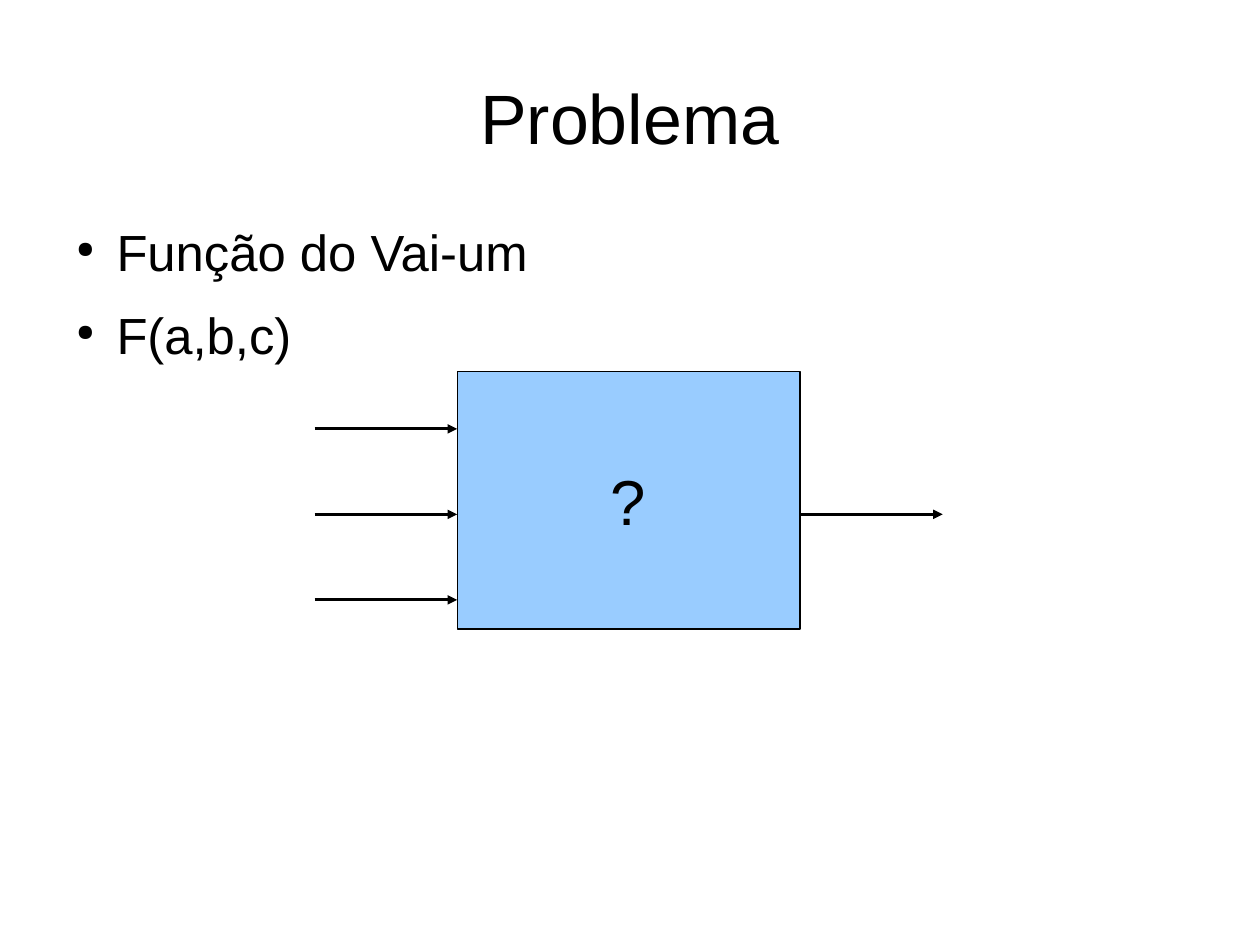
"""Build the slide presenting the carry function as an unknown block."""
from typing import NamedTuple

from lxml import etree
from pptx import Presentation
from pptx import util as u
from pptx.dml.color import RGBColor
from pptx.enum import shapes, text
from pptx.oxml.ns import qn

COLORS = {"ink": "000000", "block": "99CCFF"}
FONT = "Arial"


class Box(NamedTuple):
    left: float
    top: float
    width: float
    height: float


class Arrow(NamedTuple):
    left: float
    y: float


TITLE = Box(1.4, 0.84, 25.2, 3.5)
BODY = Box(1.4, 4.9, 25.2, 13.6)
BLOCK = Box(10.16, 8.26, 7.62, 5.72)
ARROW_LENGTH = 3.17
MIDDLE_Y = 11.43
ARROW_GAP = 1.9
BULLETS = ["Função do Vai-um", "F(a,b,c)"]

INPUTS = [Arrow(BLOCK.left - ARROW_LENGTH, MIDDLE_Y + i * ARROW_GAP) for i in (-1, 0, 1)]
OUTPUT = Arrow(BLOCK.left + BLOCK.width, MIDDLE_Y)


def color(name: str) -> RGBColor:
    return RGBColor.from_string(COLORS[name])


def add_run(p, words: str, size: int) -> None:
    r = p.add_run()
    r.text = words
    r.font.name = FONT
    r.font.size = u.Pt(size)
    r.font.color.rgb = color("ink")


def add_text_box(s, box: Box, anchor: text.MSO_ANCHOR):
    tf = s.shapes.add_textbox(*map(u.Cm, box)).text_frame
    tf.word_wrap = True
    tf.vertical_anchor = anchor
    tf.margin_left = tf.margin_right = tf.margin_top = tf.margin_bottom = 0
    return tf


def add_bullet(p) -> None:
    pPr = p._p.get_or_add_pPr()
    pPr.set("marL", str(u.Cm(1.19)))
    pPr.set("indent", str(u.Cm(-0.89)))
    buClr = etree.SubElement(pPr, qn("a:buClr"))
    etree.SubElement(buClr, qn("a:srgbClr"), val=COLORS["ink"])
    etree.SubElement(pPr, qn("a:buSzPct"), val="45000")
    etree.SubElement(pPr, qn("a:buChar"), char="●")
    p.space_after = u.Pt(14.2)


def style_line(line) -> None:
    line.color.rgb = color("ink")
    line.width = u.Pt(0)


def add_block(s) -> None:
    sp = s.shapes.add_shape(shapes.MSO_SHAPE.RECTANGLE, *map(u.Cm, BLOCK))
    sp.shadow.inherit = False
    sp.fill.solid()
    sp.fill.fore_color.rgb = color("block")
    style_line(sp.line)
    tf = sp.text_frame
    tf.vertical_anchor = text.MSO_ANCHOR.MIDDLE
    p = tf.paragraphs[0]
    p.alignment = text.PP_ALIGN.CENTER
    add_run(p, "?", 40)


def add_arrow(s, arrow: Arrow) -> None:
    ends = (arrow.left, arrow.y, arrow.left + ARROW_LENGTH, arrow.y)
    cx = s.shapes.add_connector(shapes.MSO_CONNECTOR.STRAIGHT, *map(u.Cm, ends))
    style_line(cx.line)
    etree.SubElement(cx.line._get_or_add_ln(), qn("a:tailEnd"), type="triangle")
    etree.SubElement(cx._element.spPr, qn("a:effectLst"))


def main() -> None:
    prs = Presentation()
    prs.slide_width, prs.slide_height = u.Cm(28), u.Cm(21)
    s = prs.slides.add_slide(prs.slide_layouts[6])

    p = add_text_box(s, TITLE, text.MSO_ANCHOR.MIDDLE).paragraphs[0]
    p.alignment = text.PP_ALIGN.CENTER
    add_run(p, "Problema", 44)

    add_block(s)
    for arrow in [*INPUTS, OUTPUT]:
        add_arrow(s, arrow)

    tf = add_text_box(s, BODY, text.MSO_ANCHOR.TOP)
    for i, words in enumerate(BULLETS):
        p = tf.add_paragraph() if i else tf.paragraphs[0]
        add_bullet(p)
        add_run(p, words, 32)

    prs.save("out.pptx")


if __name__ == "__main__":
    main()
